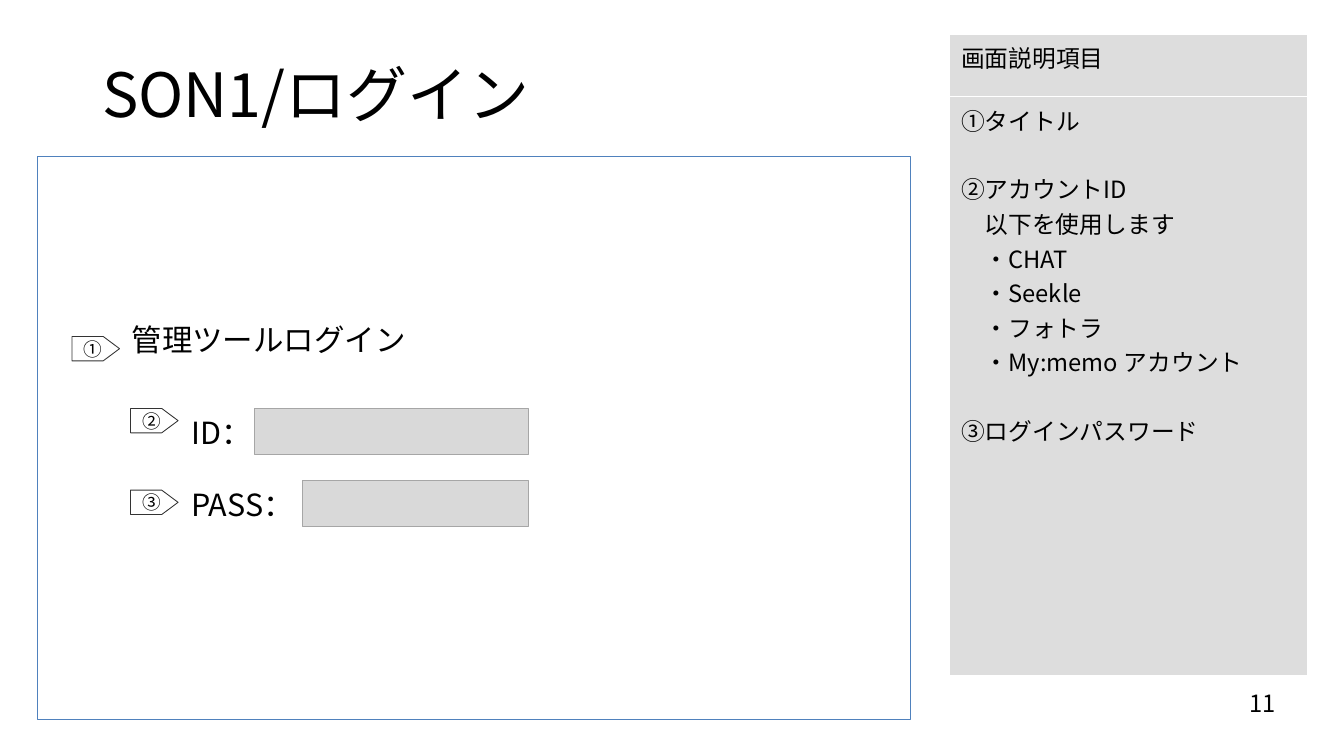
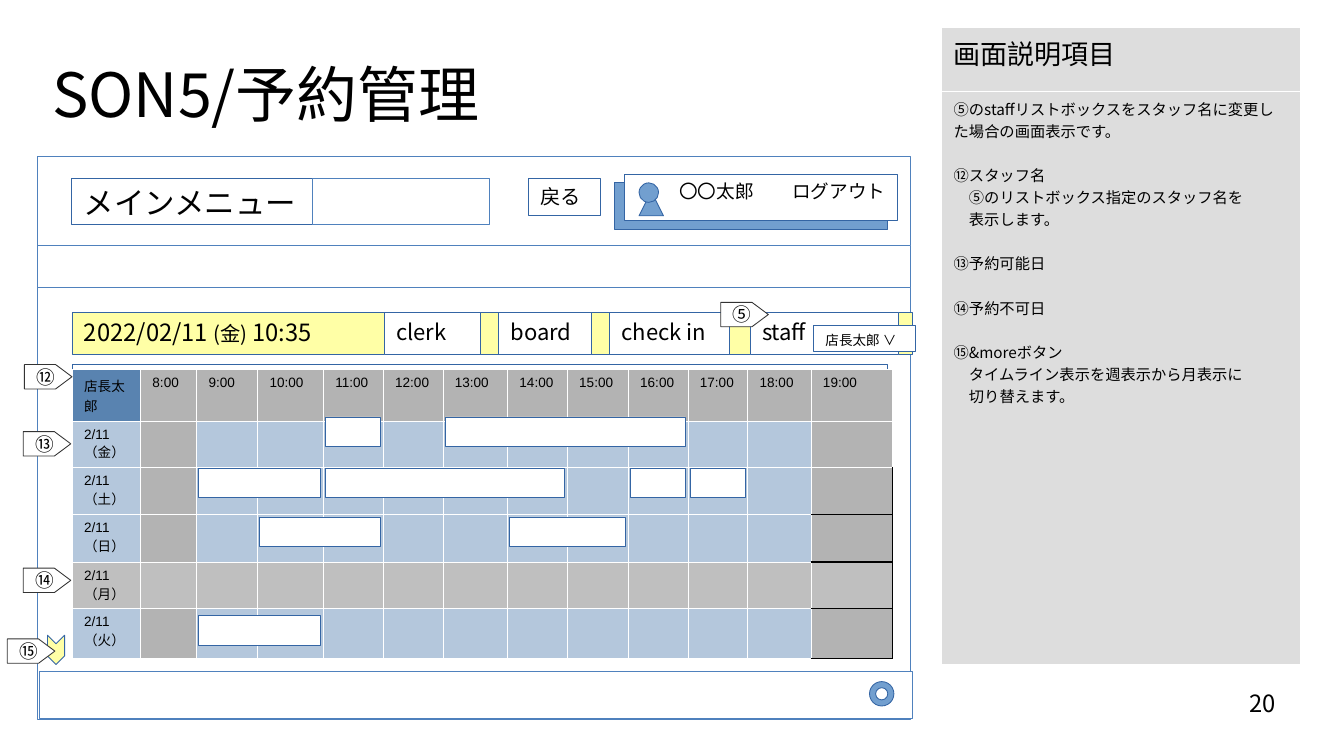
"""Builds two screen specification slides for a booking management tool."""
from dataclasses import dataclass
from itertools import accumulate

from lxml import etree
from pptx import Presentation
from pptx import util as u
from pptx.dml.color import RGBColor
from pptx.enum import shapes, text
from pptx.oxml.ns import qn


@dataclass(frozen=True)
class Theme:
    font: str = "Noto Sans CJK JP"
    table_font: str = "Arial"
    ink: str = "000000"
    paper: str = "FFFFFF"
    frame: str = "4F81BD"
    outline: str = "3465A4"
    tag_line: str = "333333"
    accent: str = "729FCF"
    highlight: str = "FFFFA6"
    panel: str = "DDDDDD"
    field: str = "D9D9D9"
    field_line: str = "A6A6A6"
    corner: str = "5983B0"
    open_slot: str = "B4C7DC"
    closed_slot: str = "B3B3B3"
    day_off: str = "BFBFBF"
    title: int = 36
    heading: int = 18
    panel_heading: int = 16
    label: int = 14
    tab: int = 13
    button: int = 12
    tag: int = 11
    note: int = 9
    small: int = 8


THEME = Theme()
KIND = shapes.MSO_SHAPE
LEFT, CENTER, RIGHT = text.PP_ALIGN.LEFT, text.PP_ALIGN.CENTER, text.PP_ALIGN.RIGHT
LINE_SPACING = 1.45


class Deck:
    def __init__(self, width, height):
        self.presentation = Presentation()
        self.presentation.slide_width = u.Inches(width)
        self.presentation.slide_height = u.Inches(height)
        self.slide = None

    def start_slide(self, title, number, left, width, align):
        self.slide = self.presentation.slides.add_slide(self.presentation.slide_layouts[5])
        heading = self.slide.shapes.title
        self.place(heading, left, 0.25, width, 1.03)
        frame = heading.text_frame
        frame.auto_size = text.MSO_AUTO_SIZE.NONE
        frame.vertical_anchor = text.MSO_ANCHOR.MIDDLE
        self.inset(frame, 0, 0)
        self.set_text(frame.paragraphs[0], title, THEME.title, align)
        page = self.label(number, 7.9, 5.65, 2.56, 0.42, THEME.label, RIGHT)
        self.inset(page.text_frame, 0, 0)
        self.box(0.31, 1.28, 7.16, 4.62, line=THEME.frame)

    def place(self, shape, left, top, width, height):
        shape.left, shape.top = u.Inches(left), u.Inches(top)
        shape.width, shape.height = u.Inches(width), u.Inches(height)

    def inset(self, frame, side, end):
        frame.margin_left = frame.margin_right = u.Inches(side)
        frame.margin_top = frame.margin_bottom = u.Inches(end)

    def set_text(self, paragraph, words, size, align=LEFT, font=THEME.font):
        paragraph.text = words
        paragraph.alignment = align
        paragraph.font.size = u.Pt(size)
        paragraph.font.bold = False
        paragraph.font.name = font
        paragraph.font.color.rgb = RGBColor.from_string(THEME.ink)
        defaults = paragraph._p.pPr.find(qn("a:defRPr"))
        etree.SubElement(defaults, qn("a:ea"), typeface=THEME.font)

    def label(self, words, left, top, width, height, size=THEME.heading, align=LEFT):
        shape = self.slide.shapes.add_textbox(*map(u.Inches, (left, top, width, height)))
        shape.text_frame.word_wrap = True
        self.set_text(shape.text_frame.paragraphs[0], words, size, align)
        return shape

    def box(self, left, top, width, height, words="", size=THEME.tab, fill=THEME.paper,
            line=THEME.outline, align=LEFT, kind=KIND.RECTANGLE):
        shape = self.slide.shapes.add_shape(kind, *map(u.Inches, (left, top, width, height)))
        shape.shadow.inherit = False
        shape.fill.solid()
        shape.fill.fore_color.rgb = RGBColor.from_string(fill)
        shape.line.color.rgb = RGBColor.from_string(line)
        shape.line.width = u.Pt(0.5)
        if words:
            shape.text_frame.vertical_anchor = text.MSO_ANCHOR.TOP
            self.set_text(shape.text_frame.paragraphs[0], words, size, align)
        return shape

    def tag(self, words, left, top):
        shape = self.box(left, top, 0.39, 0.2, words, THEME.tag, line=THEME.tag_line,
                         kind=KIND.PENTAGON)
        shape.adjustments[0] = 0.67
        self.inset(shape.text_frame, 0.1, 0)
        shape.text_frame.margin_right = 0
        shape.text_frame.vertical_anchor = text.MSO_ANCHOR.MIDDLE

    def table(self, left, top, columns, rows):
        size = map(u.Inches, (left, top, sum(columns), sum(rows)))
        table = self.slide.shapes.add_table(len(rows), len(columns), *size).table
        table.first_row = table.horz_banding = False
        for column, width in zip(table.columns, columns):
            column.width = u.Inches(width)
        for row, height in zip(table.rows, rows):
            row.height = u.Inches(height)
        return table

    def style_cell(self, cell, fill, dark_sides=""):
        properties = cell._tc.get_or_add_tcPr()
        for side in "LRTB":
            dark = side in dark_sides
            width = u.Pt(1) if dark else u.Pt(0.06)
            border = etree.SubElement(properties, qn(f"a:ln{side}"), w=str(int(width)))
            solid = etree.SubElement(border, qn("a:solidFill"))
            etree.SubElement(solid, qn("a:srgbClr"), val=THEME.ink if dark else THEME.paper)
        cell.fill.solid()
        cell.fill.fore_color.rgb = RGBColor.from_string(fill)

    def description(self, left, top, rows, heading_size, size, groups):
        table = self.table(left, top, [2.94], rows)
        heading, body = table.cell(0, 0), table.cell(1, 0)
        for cell in (heading, body):
            self.style_cell(cell, THEME.panel)
        self.set_text(heading.text_frame.paragraphs[0], "画面説明項目", heading_size)
        frame = body.text_frame
        for group_index, group in enumerate(groups):
            for line_index, words in enumerate(group):
                first = group_index == line_index == 0
                paragraph = frame.paragraphs[0] if first else frame.add_paragraph()
                self.set_text(paragraph, words, size)
                if line_index:
                    paragraph._p.pPr.set("marL", str(int(u.Pt(size))))
                elif group_index:
                    paragraph.space_before = u.Pt(round(size * LINE_SPACING, 1))

    def timetable(self, left, top, columns, rows, days):
        table = self.table(left, top, columns, rows)
        last = len(columns) - 1
        header = ["店長太郎"] + [f"{hour}:00" for hour in range(8, 20)]
        for row_index in range(len(rows)):
            day = days[row_index - 1] if row_index else ""
            for column_index in range(len(columns)):
                cell = table.cell(row_index, column_index)
                if not row_index:
                    words = header[column_index]
                    fill = THEME.closed_slot if column_index else THEME.corner
                else:
                    words = "" if column_index else f"2/11（{day}）"
                    closed = column_index in (1, last)
                    fill = THEME.closed_slot if closed else THEME.open_slot
                    if day == "月":
                        fill = THEME.day_off
                dark_sides = ""
                if column_index == last and row_index >= 2:
                    dark_sides = "RB" if row_index == 2 else "RTB"
                self.style_cell(cell, fill, dark_sides)
                if not words:
                    cell.margin_top = cell.margin_bottom = 0
                self.set_text(cell.text_frame.paragraphs[0], words, THEME.small,
                              font=THEME.table_font)


def build_login(deck):
    deck.start_slide("SON1/ログイン", "11", 0.31, 4.56, CENTER)
    deck.description(7.78, 0.28, [0.51, 4.75], THEME.label, THEME.label, [
        ["①タイトル"],
        ["➁アカウントID", "以下を使用します", "・CHAT", "・Seekle", "・フォトラ",
         "・My:memo アカウント"],
        ["③ログインパスワード"],
    ])
    deck.label("管理ツールログイン", 0.98, 2.58, 2.59, 0.37)
    for words, top, field_left in (("ID：", 3.35, 2.09), ("PASS：", 3.94, 2.48)):
        deck.label(words, 1.47, top, 1.29, 0.38)
        deck.box(field_left, top, 4.33 - field_left, 0.38, fill=THEME.field,
                 line=THEME.field_line)
    for words, left, top in (("①", 0.59, 2.76), ("②", 1.07, 3.35), ("③", 1.07, 4.02)):
        deck.tag(words, left, top)


def build_bookings(deck):
    deck.start_slide("SON5/予約管理", "20", 0.43, 5.08, LEFT)
    deck.description(7.72, 0.22, [0.53, 4.7], THEME.panel_heading, THEME.note, [
        ["⑤のstaffリストボックスをスタッフ名に変更した場合の画面表示です。"],
        ["⑫スタッフ名", "⑤のリストボックス指定のスタッフ名を", "表示します。"],
        ["⑬予約可能日"],
        ["⑭予約不可日"],
        ["⑮&moreボタン", "タイムライン表示を週表示から月表示に", "切り替えます。"],
    ])

    deck.box(0.59, 1.46, 2.24, 0.38, "メインメニュー", THEME.heading)
    deck.box(2.56, 1.46, 1.45, 0.38, line=THEME.frame)
    deck.box(4.33, 1.46, 0.59, 0.31, "戻る", THEME.button)
    deck.box(5.04, 1.5, 2.24, 0.38, fill=THEME.accent)
    deck.box(5.12, 1.43, 2.24, 0.38, "ログアウト", THEME.tag, align=RIGHT)
    deck.label("〇〇太郎", 5.47, 1.43, 0.9, 0.38, THEME.tag)
    deck.box(5.24, 1.57, 0.2, 0.2, fill=THEME.accent, kind=KIND.ISOSCELES_TRIANGLE)
    deck.box(5.24, 1.5, 0.16, 0.16, fill=THEME.accent, kind=KIND.OVAL)
    deck.box(0.31, 2.01, 7.16, 0.35, line=THEME.frame)
    deck.box(0.32, 5.51, 7.16, 0.38, line=THEME.frame)
    deck.box(7.13, 5.59, 0.2, 0.2, fill=THEME.accent, kind=KIND.DONUT)

    date_bar = deck.box(0.59, 2.56, 6.89, 0.35, "2022/02/11 ", THEME.label,
                        fill=THEME.highlight)
    for words, size in (("(金) ", THEME.button), ("10:35", THEME.label)):
        run = date_bar.text_frame.paragraphs[0].add_run()
        run.text = words
        run.font.size = u.Pt(size)
    for words, left, width in (("clerk", 3.15, 0.79), ("board", 4.09, 0.76),
                               ("check in", 5, 0.98), ("staff", 6.15, 1.22)):
        deck.box(left, 2.56, width, 0.35, words)
    deck.box(6.67, 2.67, 0.84, 0.21, "店長太郎 ∨", THEME.small)

    deck.box(0.59, 2.99, 6.69, 2.32)
    columns = [0.56, 0.46, 0.5, 0.54, 0.49, 0.49, 0.53, 0.49, 0.5, 0.49, 0.49, 0.52, 0.67]
    deck.timetable(0.59, 3.03, columns, [0.42, 0.38, 0.39, 0.39, 0.38, 0.41], "金土日月火")
    hour_left = dict(zip(range(7, 20), accumulate(columns, initial=0.59)))
    bookings = {
        3.42: [(11, 12), (13, 17)],
        3.84: [(9, 11), (11, 15), (16, 17), (17, 18)],
        4.24: [(10, 12), (14, 16)],
        5.05: [(9, 11)],
    }
    for top, spans in bookings.items():
        for start, end in spans:
            width = hour_left[end] - hour_left[start] - 0.04
            deck.box(hour_left[start] + 0.02, top, width, 0.24)

    more = deck.box(0.34, 5.26, 0.24, 0.14, fill=THEME.highlight, kind=KIND.CHEVRON)
    more.rotation = 90
    for words, left, top in (("⑤", 5.91, 2.48), ("⑫", 0.2, 2.99), ("⑬", 0.19, 3.54),
                             ("⑭", 0.19, 4.66), ("⑮", 0.06, 5.24)):
        deck.tag(words, left, top)


def main():
    deck = Deck(11.02, 6.2)
    build_login(deck)
    build_bookings(deck)
    deck.presentation.save("out.pptx")


if __name__ == "__main__":
    main()
